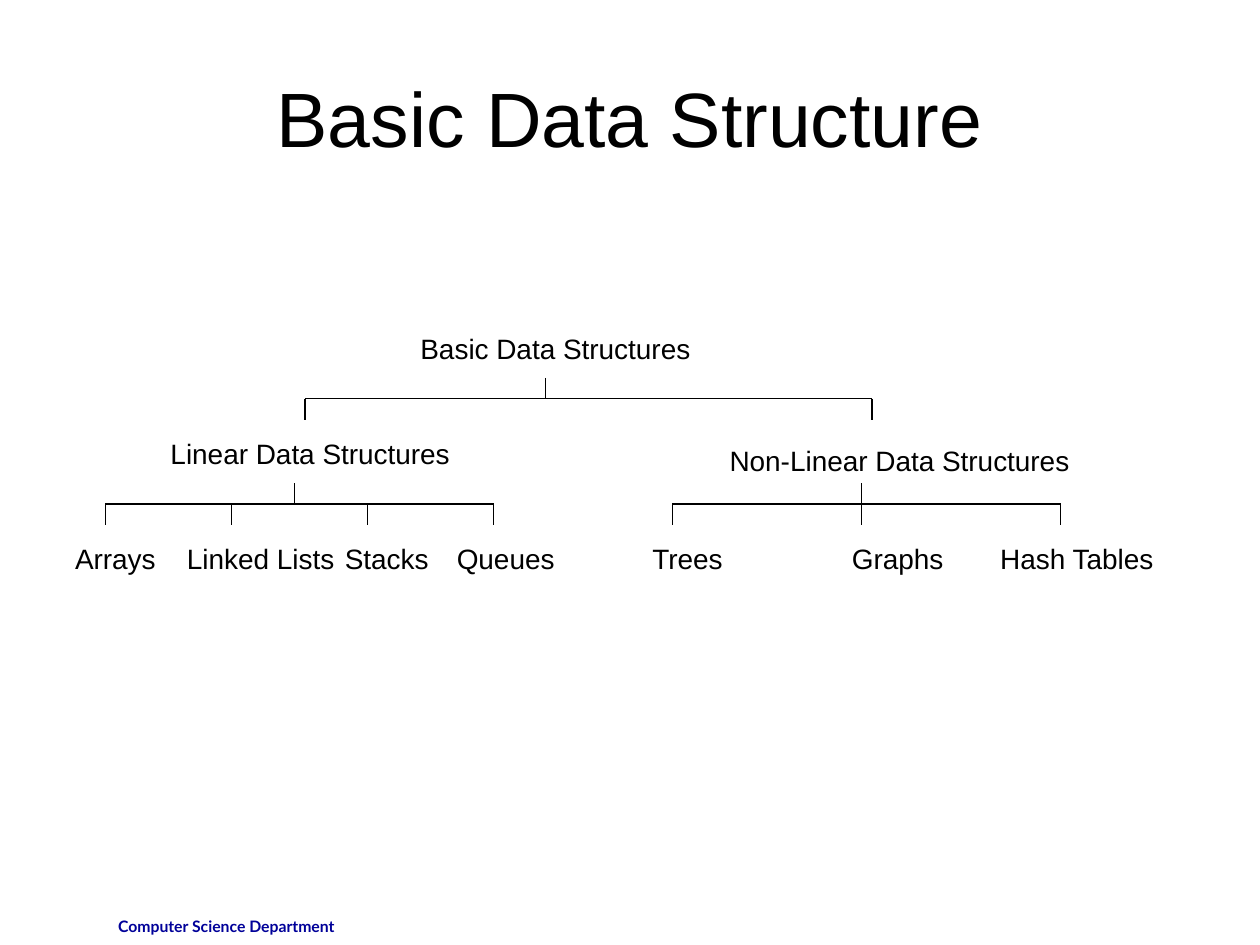
from lxml import etree
from pptx import Presentation
from pptx.dml.color import RGBColor
from pptx.enum.shapes import MSO_CONNECTOR
from pptx.enum.text import MSO_ANCHOR, PP_ALIGN
from pptx.oxml.ns import qn
from pptx.util import Cm, Pt

BLACK = RGBColor(0x00, 0x00, 0x00)
NAVY = RGBColor(0x00, 0x00, 0x99)

TITLE = dict(name="Arial", size=Pt(44))
LABEL = dict(name="Arial", size=Pt(16))
FOOTER = dict(name="Lato", size=Pt(9), bold=True)

LABEL_H = 0.94
LEVEL_H = 2.12  # from one row of labels to the next
STEM_GAP = 1.06  # from the top of a label to its stem
ARM_H = 0.42  # length of the stem and of each drop


def add_text(slide, text, box, font, color=BLACK, align=PP_ALIGN.RIGHT,
             anchor=MSO_ANCHOR.TOP):
    tf = slide.shapes.add_textbox(*map(Cm, box)).text_frame
    tf.word_wrap = True
    tf.vertical_anchor = anchor
    p = tf.paragraphs[0]
    p.alignment = align
    r = p.add_run()
    r.text = text
    for key, value in font.items():
        setattr(r.font, key, value)
    r.font.color.rgb = color


def add_line(slide, x1, y1, x2, y2):
    line = slide.shapes.add_connector(MSO_CONNECTOR.STRAIGHT,
                                      Cm(x1), Cm(y1), Cm(x2), Cm(y2))
    line.line.color.rgb = BLACK
    line.line.width = Pt(0.75)
    etree.SubElement(line._element.spPr, qn("a:effectLst"))


def add_branch(slide, left, top, width, stem, children):
    """Bracket below a label at top; children: text, drop, offset x, y, width."""
    bus = top + STEM_GAP + ARM_H
    add_line(slide, left, bus, left + width, bus)
    add_line(slide, left + stem, bus - ARM_H, left + stem, bus)
    for text, drop, dx, dy, w in children:
        add_line(slide, left + drop, bus, left + drop, bus + ARM_H)
        add_text(slide, text, (left + dx, top + LEVEL_H + dy, w, LABEL_H), LABEL)


def add_tree(slide, left, top):
    # Root and its two families
    add_text(slide, "Basic Data Structures",
             (left + 6.13, top, 6.98, LABEL_H), LABEL)
    add_branch(slide, left + 5.09, top, 11.43, 4.85, [
        ("Linear Data Structures", 0, -3.81, 0, 6.98),
        ("Non-Linear Data Structures", 11.43, 7.4, 0.13, 8.26),
    ])

    # Members of each family
    second = top + LEVEL_H
    add_branch(slide, left + 1.06, second, 7.83, 3.81, [
        ("Arrays", 0, -1.06, 0, 2.33),
        ("Linked Lists", 2.54, 1.06, 0, 3.81),
        ("Stacks", 5.29, 4.44, 0, 2.33),
        ("Queues", 7.83, 6.56, 0, 2.75),
    ])
    add_branch(slide, left + 12.49, second, 7.83, 3.81, [
        ("Trees", 0, -1.06, 0, 2.33),
        ("Graphs", 3.81, 2.54, 0, 3.18),
        ("Hash Tables", 7.83, 5.93, 0, 4.02),
    ])


def main():
    prs = Presentation()
    prs.slide_width, prs.slide_height = Cm(25.4), Cm(19.05)
    s = prs.slides.add_slide(prs.slide_layouts[6])

    # Footer and title
    add_text(s, "Computer Science Department", (1.06, 18.36, 5.93, 0.69),
             FOOTER, NAVY)
    add_text(s, "Basic Data Structure", (1.27, 0.76, 22.86, 3.18), TITLE,
             align=PP_ALIGN.CENTER, anchor=MSO_ANCHOR.MIDDLE)

    # Tree of structures
    add_tree(s, 1.06, 6.56)
    prs.save("out.pptx")


if __name__ == "__main__":
    main()
